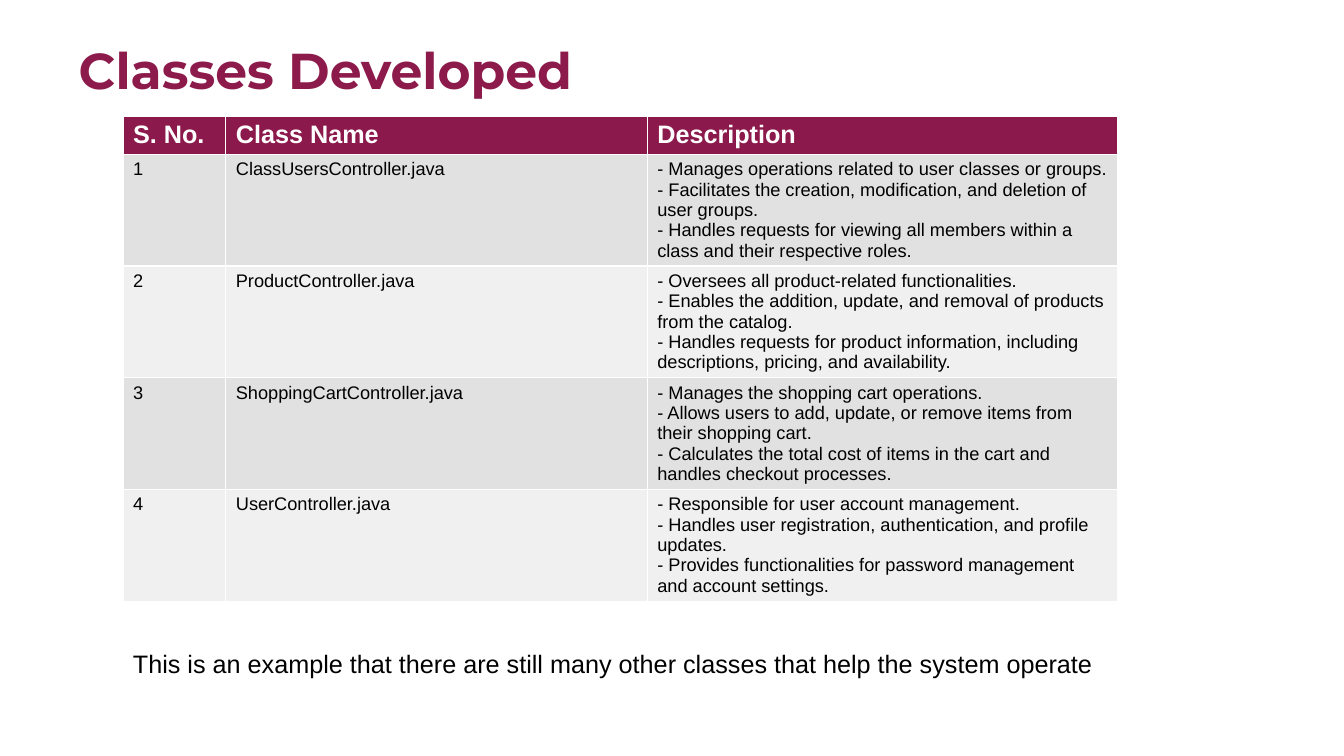
from dataclasses import dataclass

from pptx import Presentation
from pptx.dml.color import RGBColor
from pptx.enum.text import MSO_ANCHOR, MSO_AUTO_SIZE, PP_ALIGN
from pptx.util import Inches, Pt


@dataclass(frozen=True)
class Theme:
    """Colours, fonts and type sizes of the slide."""
    title_color: str = "8C1A4B"
    header_fill: str = "8C194B"
    header_text: str = "FFFFFF"
    body_text: str = "000000"
    row_fills: tuple = ("E1E1E1", "F0F0F0")
    title_font: str = "Montserrat"
    body_font: str = "Arial"
    title_size: int = 36
    large_size: int = 18
    cell_size: int = 13


THEME = Theme()
HEADINGS = ("S. No.", "Class Name", "Description")
COLUMN_WIDTHS = (1.02, 4.18, 4.67)
HEADER_HEIGHT = 0.38
CLASSES = (
    ("ClassUsersController.java", (
        "- Manages operations related to user classes or groups.",
        "- Facilitates the creation, modification, and deletion of user groups.",
        "- Handles requests for viewing all members within a class and their respective roles.",
    )),
    ("ProductController.java", (
        "- Oversees all product-related functionalities.",
        "- Enables the addition, update, and removal of products from the catalog.",
        "- Handles requests for product information, including descriptions, pricing, and availability.",
    )),
    ("ShoppingCartController.java", (
        "- Manages the shopping cart operations.",
        "- Allows users to add, update, or remove items from their shopping cart.",
        "- Calculates the total cost of items in the cart and handles checkout processes.",
    )),
    ("UserController.java", (
        "- Responsible for user account management.",
        "- Handles user registration, authentication, and profile updates.",
        "- Provides functionalities for password management and account settings.",
    )),
)


def write(frame, lines, size, color, font=THEME.body_font, bold=False):
    """Fill a text frame with one formatted paragraph per line."""
    frame.text = "\n".join(lines)
    for paragraph in frame.paragraphs:
        paragraph.alignment = PP_ALIGN.LEFT
        paragraph.font.name = font
        paragraph.font.size = Pt(size)
        paragraph.font.bold = bold
        paragraph.font.color.rgb = RGBColor.from_string(color)


def add_title(slide, left, top, width, height):
    """Place the heading in the title placeholder."""
    title = slide.shapes.title
    title.left, title.top = Inches(left), Inches(top)
    title.width, title.height = Inches(width), Inches(height)
    frame = title.text_frame
    frame.auto_size = MSO_AUTO_SIZE.NONE
    frame.vertical_anchor = MSO_ANCHOR.BOTTOM
    write(frame, ["Classes Developed"], THEME.title_size, THEME.title_color,
          THEME.title_font, True)
    frame.paragraphs[0].line_spacing = 0.9


def fill_row(row, texts, fill, size, color, bold=False):
    """Write and colour the cells of one table row."""
    for cell, lines in zip(row.cells, texts):
        cell.fill.solid()
        cell.fill.fore_color.rgb = RGBColor.from_string(fill)
        write(cell.text_frame, lines, size, color, bold=bold)


def add_class_table(slide, left, top, width, height):
    """Draw the table of controller classes."""
    table = slide.shapes.add_table(
        len(CLASSES) + 1, len(HEADINGS), Inches(left), Inches(top),
        Inches(width), Inches(height)).table
    for column, column_width in zip(table.columns, COLUMN_WIDTHS):
        column.width = Inches(column_width)
    header, *class_rows = table.rows
    header.height = Inches(HEADER_HEIGHT)
    fill_row(header, [[heading] for heading in HEADINGS], THEME.header_fill,
             THEME.large_size, THEME.header_text, True)
    for index, (row, (class_name, duties)) in enumerate(zip(class_rows, CLASSES)):
        row.height = Inches((height - HEADER_HEIGHT) / len(CLASSES))
        fill_row(row, ([str(index + 1)], [class_name], duties),
                 THEME.row_fills[index % 2], THEME.cell_size, THEME.body_text)


def add_closing_note(slide, left, top, width, height):
    """Write the remark below the table."""
    note = slide.shapes.add_textbox(
        Inches(left), Inches(top), Inches(width), Inches(height))
    note.text_frame.word_wrap = True
    write(note.text_frame,
          ["This is an example that there are still many other classes that help the system operate"],
          THEME.large_size, THEME.body_text)


def main():
    """Build and save the slide."""
    presentation = Presentation()
    presentation.slide_width = Inches(13.33)
    presentation.slide_height = Inches(7.5)
    slide = presentation.slides.add_slide(presentation.slide_layouts[5])
    add_title(slide, 0.68, 0.13, 11.87, 0.92)
    add_class_table(slide, 1.22, 1.15, sum(COLUMN_WIDTHS), 4.8)
    add_closing_note(slide, 1.22, 6.38, 9.76, 0.4)
    presentation.save("out.pptx")


if __name__ == "__main__":
    main()
